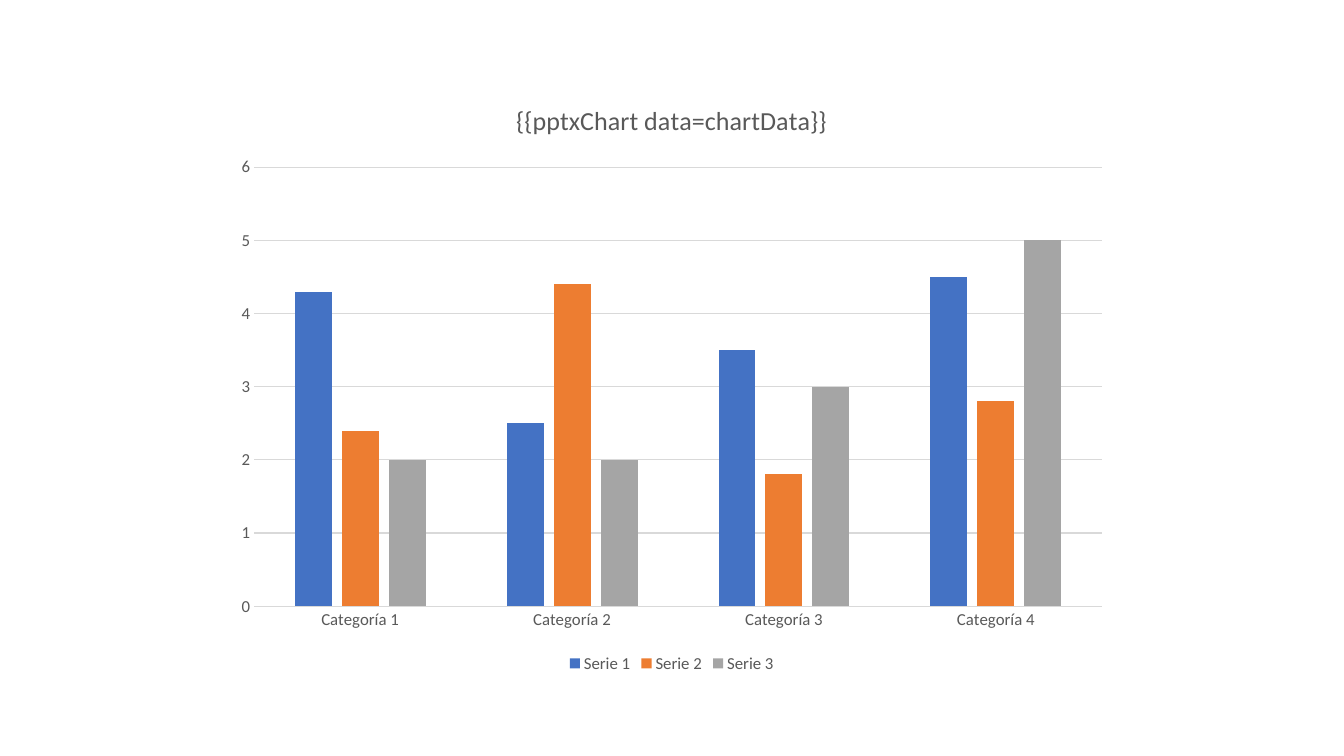
from dataclasses import dataclass

from pptx import Presentation
from pptx.chart.axis import _BaseAxis as Axis
from pptx.chart.chart import Chart
from pptx.chart.data import CategoryChartData as ChartData
from pptx.dml.color import RGBColor
from pptx.enum.chart import XL_CHART_TYPE as ChartType
from pptx.enum.chart import XL_LEGEND_POSITION as LegendPosition
from pptx.enum.chart import XL_TICK_MARK as TickMark
from pptx.slide import Slide
from pptx.text.text import Font
from pptx.util import Cm, Pt

COLORS = {
    "text": "595959",
    "rule": "D9D9D9",
    "blue": "4472C4",
    "orange": "ED7D31",
    "gray": "A5A5A5",
}
CATEGORIES = [f"Categoría {number}" for number in range(1, 5)]


@dataclass(frozen=True)
class Serie:
    """One set of columns."""

    name: str
    values: tuple[float, ...]
    color: str


SERIES = (
    Serie("Serie 1", (4.3, 2.5, 3.5, 4.5), "blue"),
    Serie("Serie 2", (2.4, 4.4, 1.8, 2.8), "orange"),
    Serie("Serie 3", (2, 2, 3, 5), "gray"),
)


def rgb(name: str) -> RGBColor:
    """Look up a named colour."""
    return RGBColor.from_string(COLORS[name])


def style_font(font: Font, size: float) -> None:
    """Give a font the chart's typeface and text colour."""
    font.name = "Calibri"
    font.size = Pt(size)
    font.bold = False
    font.color.rgb = rgb("text")


def add_columns(slide: Slide) -> Chart:
    """Add the clustered columns in their series colours."""
    data = ChartData(number_format="General")
    data.categories = CATEGORIES
    for serie in SERIES:
        data.add_series(serie.name, serie.values)
    chart = slide.shapes.add_chart(
        ChartType.COLUMN_CLUSTERED, Cm(5.64), Cm(2.01), Cm(22.58), Cm(15.06), data
    ).chart
    columns = chart.plots[0]
    columns.gap_width = 219
    columns.overlap = -27
    columns.vary_by_categories = False
    for serie, drawn in zip(SERIES, columns.series):
        drawn.format.fill.solid()
        drawn.format.fill.fore_color.rgb = rgb(serie.color)
        drawn.invert_if_negative = False
    return chart


def style_axis(axis: Axis) -> None:
    """Remove the tick marks and set the label font."""
    axis.major_tick_mark = TickMark.NONE
    axis.minor_tick_mark = TickMark.NONE
    style_font(axis.tick_labels.font, 12)


def style_axes(chart: Chart) -> None:
    """Format both axes, the base line and the gridlines."""
    categories, scale = chart.category_axis, chart.value_axis
    for axis in (categories, scale):
        style_axis(axis)
    scale.minimum_scale, scale.maximum_scale, scale.major_unit = 0, 6, 1
    scale.format.line.fill.background()
    scale.has_major_gridlines = True
    for line in (categories.format.line, scale.major_gridlines.format.line):
        line.color.rgb = rgb("rule")
        line.width = Pt(0.75)


def add_heading_and_legend(chart: Chart) -> None:
    """Put the heading above the columns and the legend below."""
    chart.has_title = True
    heading = chart.chart_title.text_frame
    heading.text = "{{pptxChart data=chartData}}"
    style_font(heading.paragraphs[0].runs[0].font, 18.6)
    chart.chart_title.include_in_layout = False
    chart.has_legend = True
    chart.legend.position = LegendPosition.BOTTOM
    chart.legend.include_in_layout = False
    style_font(chart.legend.font, 12)


def main() -> None:
    """Build and save the slide."""
    deck = Presentation()
    deck.slide_width, deck.slide_height = Cm(33.87), Cm(19.05)
    slide = deck.slides.add_slide(deck.slide_layouts[6])
    chart = add_columns(slide)
    style_axes(chart)
    add_heading_and_legend(chart)
    deck.save("out.pptx")


main()
